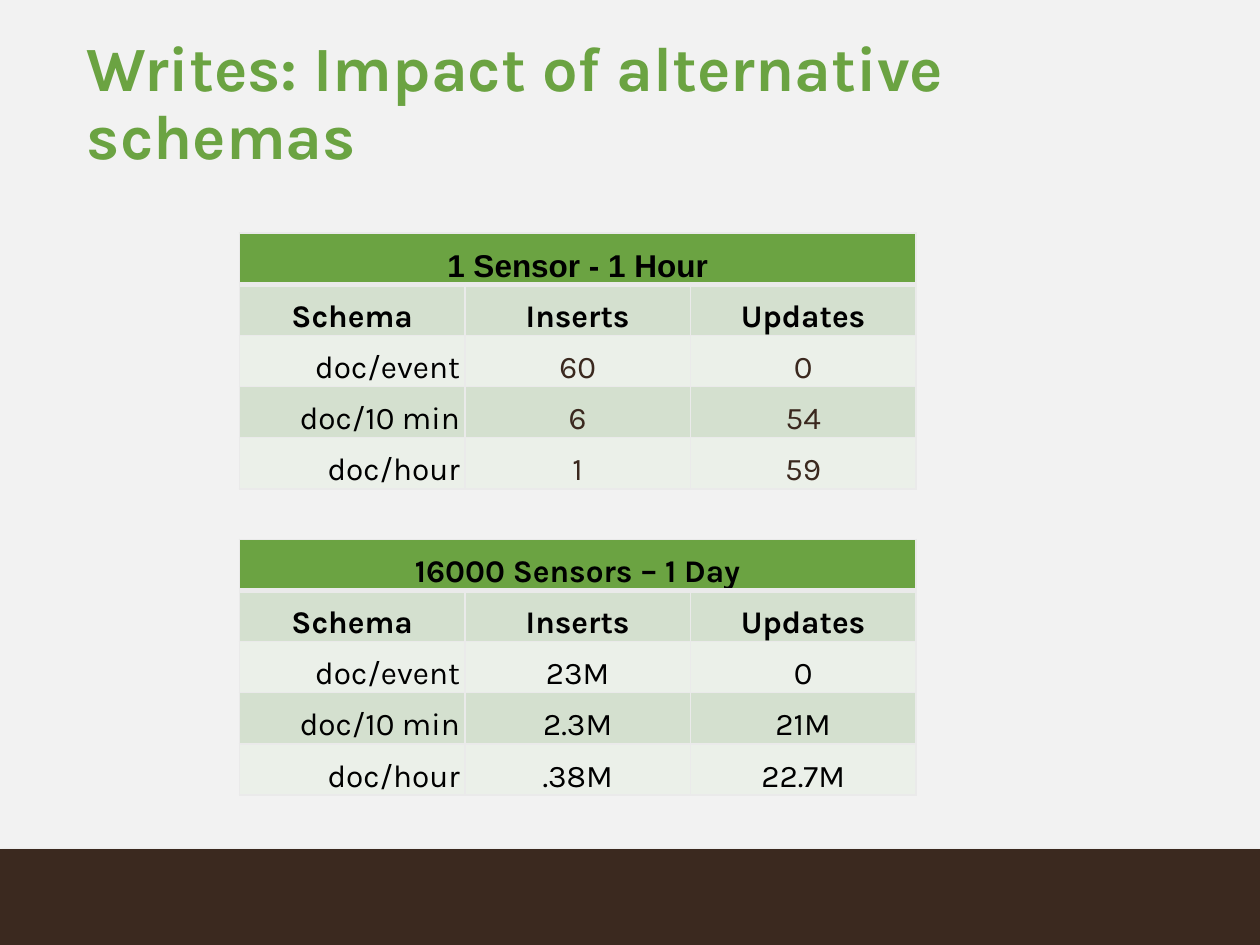
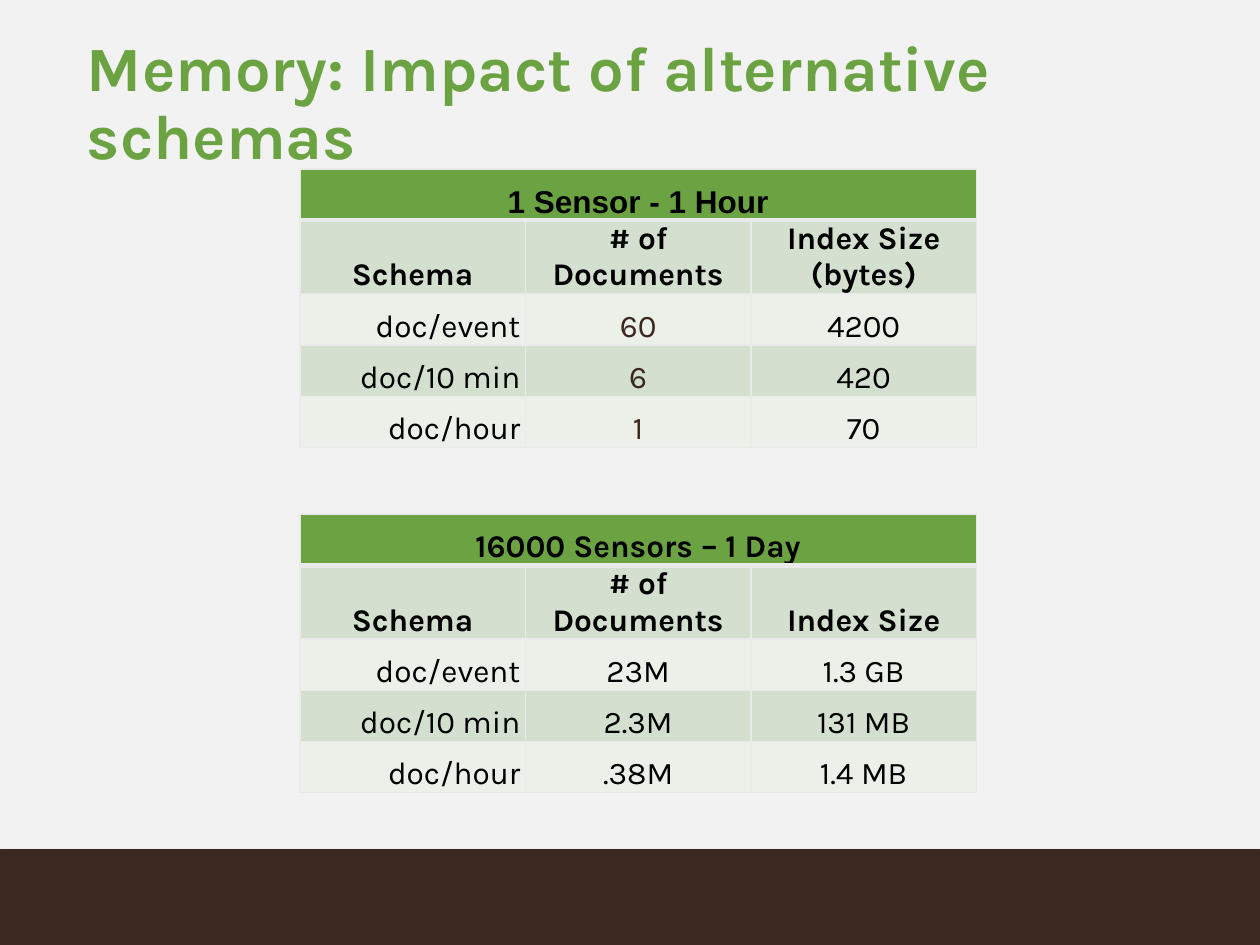
import pptx
import pptx.util
import pptx.oxml
import pptx.oxml.ns
from pptx.dml.color import RGBColor
from pptx.enum.shapes import MSO_SHAPE
from pptx.enum.text import MSO_ANCHOR, MSO_AUTO_SIZE, PP_ALIGN
from pptx.util import Inches

GREEN = RGBColor(0x6B, 0xA3, 0x42)
BAND_DARK = RGBColor(0xD4, 0xE0, 0xCF)
BAND_LIGHT = RGBColor(0xEB, 0xF0, 0xE9)
BORDER = RGBColor(0xEA, 0xEA, 0xEA)
BACKGROUND = RGBColor(0xF2, 0xF2, 0xF2)
FOOTER = RGBColor(0x3B, 0x29, 0x1F)
BROWN = RGBColor(0x3A, 0x28, 0x1E)
BLACK = RGBColor(0, 0, 0)
FONT = "Karla"
NS = pptx.oxml.ns.nsdecls("a")

SCHEMAS = ["doc/event", "doc/10 min", "doc/hour"]
HOUR = ("1 Sensor - 1 Hour", "Arial")
DAY = ("16000 Sensors – 1 Day", FONT)

# Each table: top, heading, column names, two value columns, brown columns
SLIDES = [
    ("Writes: Impact of alternative schemas", 1.9, [
        (1.85, HOUR, ["Schema", "Inserts", "Updates"],
         ["60", "6", "1"], ["0", "54", "59"], (1, 2)),
        (4.28, DAY, ["Schema", "Inserts", "Updates"],
         ["23M", "2.3M", ".38M"], ["0", "21M", "22.7M"], ()),
    ]),
    ("Memory: Impact of alternative schemas", 2.38, [
        (1.34, HOUR, ["Schema", "# of Documents", "Index Size (bytes)"],
         ["60", "6", "1"], ["4200", "420", "70"], (1,)),
        (4.08, DAY, ["Schema", "# of Documents", "Index Size"],
         ["23M", "2.3M", ".38M"], ["1.3 GB", "131 MB", "1.4 MB"], ()),
    ]),
]


def set_borders(cell, top, bottom):
    """Draw all four cell borders; top and bottom widths are in points."""
    tcPr = cell._tc.get_or_add_tcPr()
    for i, (side, width) in enumerate(zip("LRTB", (1, 1, top, bottom))):
        tcPr.insert(i, pptx.oxml.parse_xml(
            f'<a:ln{side} {NS} w="{pptx.util.Pt(width)}"><a:solidFill>'
            f'<a:srgbClr val="{BORDER}"/></a:solidFill></a:ln{side}>'))


def add_schema_table(s, left, top, heading, names, first, second, brown_cols):
    title, title_font = heading
    rows = [[title, "", ""], names, *zip(SCHEMAS, first, second)]
    frame = s.shapes.add_table(5, 3, Inches(left), Inches(top),
                               Inches(5.37), Inches(2.03))
    table = frame.table
    table.first_row = table.horz_banding = False
    table.cell(0, 0).merge(table.cell(0, 2))
    for r, row in enumerate(rows):
        for c, text in enumerate(row):
            cell = table.cell(r, c)
            cell.fill.solid()
            cell.fill.fore_color.rgb = (
                GREEN if r == 0 else BAND_DARK if r % 2 else BAND_LIGHT)
            set_borders(cell, 3 if r == 1 else 1, 3 if r == 0 else 1)
            cell.margin_left = cell.margin_right = Inches(0.04)
            cell.margin_top = cell.margin_bottom = 0
            cell.vertical_anchor = MSO_ANCHOR.BOTTOM
            if cell.is_spanned:
                continue
            cell.text = text
            p = cell.text_frame.paragraphs[0]
            p.alignment = PP_ALIGN.RIGHT if r > 1 and c == 0 else PP_ALIGN.CENTER
            p.font.name = title_font if r == 0 else FONT
            p.font.size = pptx.util.Pt(18)
            p.font.bold = r < 2
            p.font.color.rgb = BROWN if r > 1 and c in brown_cols else BLACK


prs = pptx.Presentation()
prs.slide_width, prs.slide_height = Inches(10), Inches(7.5)
prs.slide_master.background.fill.solid()
prs.slide_master.background.fill.fore_color.rgb = BACKGROUND

for title, left, tables in SLIDES:
    s = prs.slides.add_slide(prs.slide_layouts[5])

    sp = s.shapes.add_shape(MSO_SHAPE.RECTANGLE, 0, Inches(6.74),
                            Inches(10), Inches(0.76))
    sp.fill.solid()
    sp.fill.fore_color.rgb = FOOTER
    sp.line.fill.background()
    sp.shadow.inherit = False
    effects = sp._element.spPr.find(pptx.oxml.ns.qn("a:effectLst"))
    effects.append(pptx.oxml.parse_xml(
        f'<a:outerShdw {NS} blurRad="39370" dist="22860" dir="5400000">'
        '<a:srgbClr val="000000"><a:alpha val="35000"/></a:srgbClr></a:outerShdw>'))

    sp = s.shapes.title
    sp.left, sp.top = Inches(0.69), Inches(0.37)
    sp.width, sp.height = Inches(8.64), Inches(0.93)
    tf = sp.text_frame
    tf.text = title
    tf.word_wrap = True
    tf.auto_size = MSO_AUTO_SIZE.NONE
    tf.vertical_anchor = MSO_ANCHOR.MIDDLE
    tf.margin_left = tf.margin_top = tf.margin_right = tf.margin_bottom = 0
    p = tf.paragraphs[0]
    p.alignment = PP_ALIGN.LEFT
    p.line_spacing = 0.9
    p.font.name = FONT
    p.font.size = pptx.util.Pt(36)
    p.font.bold = True
    p.font.color.rgb = GREEN

    for table in tables:
        add_schema_table(s, left, *table)

prs.save("out.pptx")
